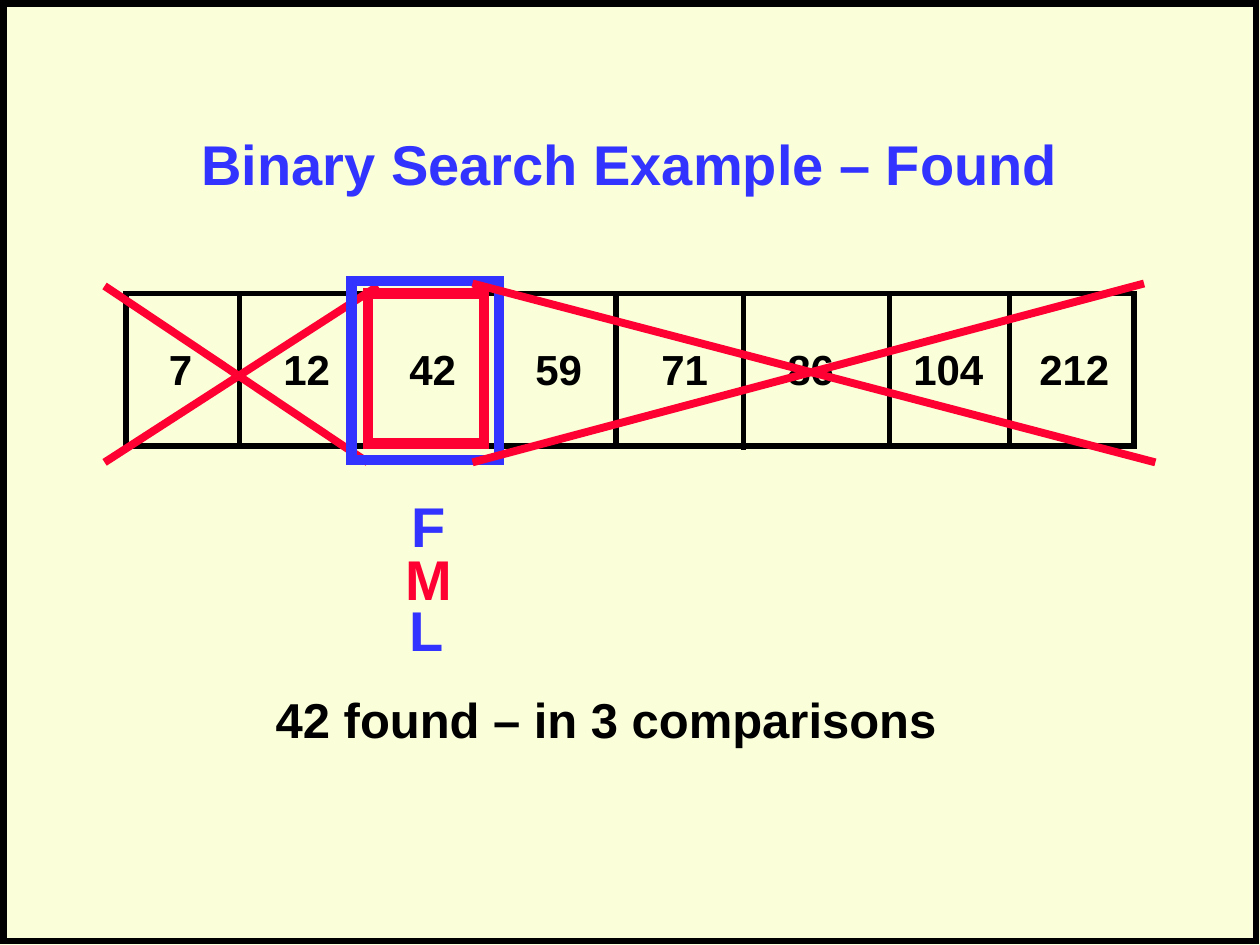
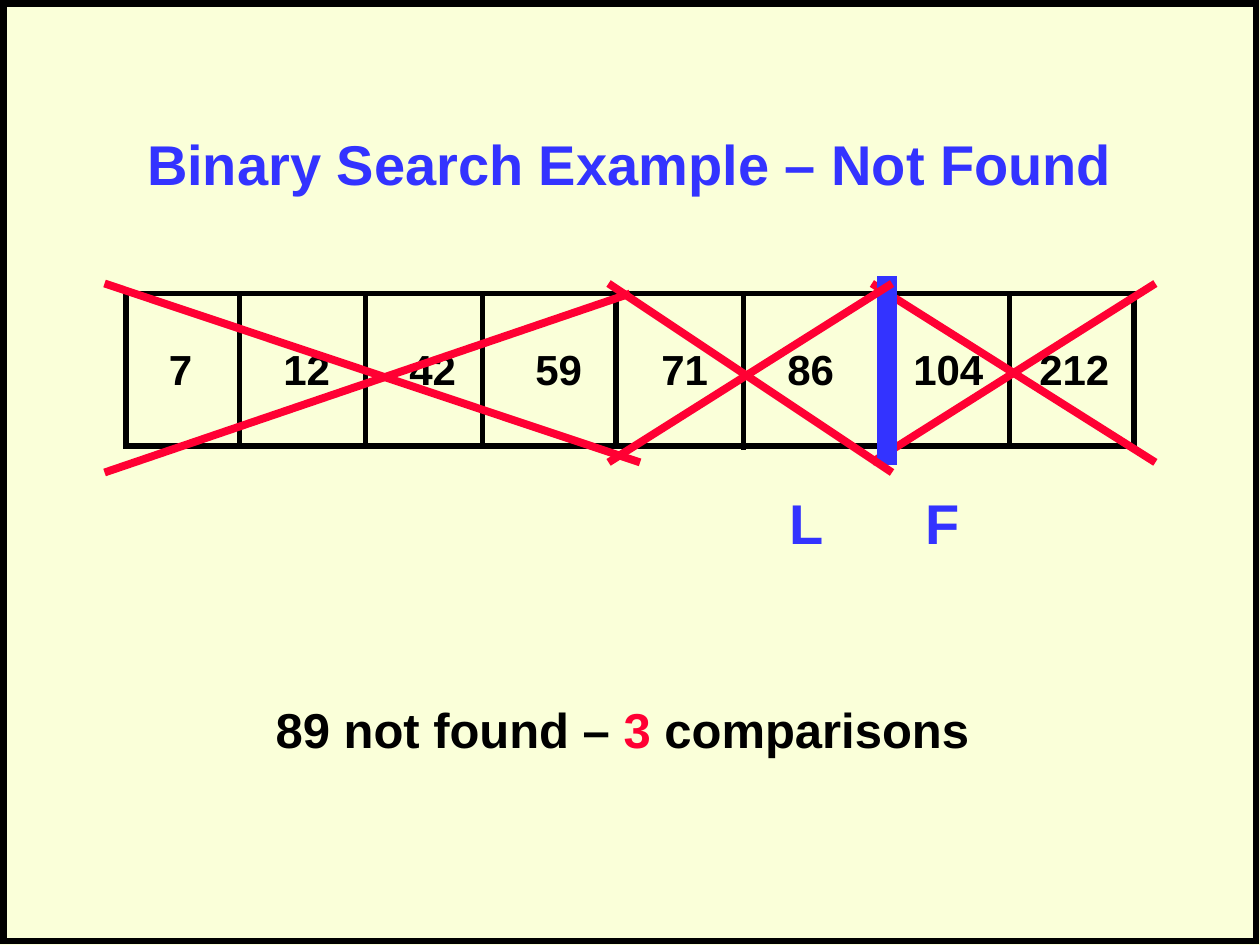
from pptx import Presentation
from pptx.dml.color import RGBColor
from pptx.enum.shapes import MSO_CONNECTOR, MSO_SHAPE
from pptx.enum.text import MSO_ANCHOR, MSO_AUTO_SIZE, PP_ALIGN
from pptx.oxml.ns import qn
from pptx.util import Pt
from lxml.etree import SubElement

PX = 9144  # EMU in one px, 100 px to the inch
COLORS = {"paper": "FAFFD9", "black": "000000", "blue": "3333FF", "red": "FF0033"}
VALUES = [7, 12, 42, 59, 71, 86, 104, 212]
# x, top and bottom of each line between two cells
DIVIDERS = [(190, 235, 353), (290, 231, 354), (383, 231, 354), (489, 235, 353),
            (590, 232, 357), (706, 231, 356), (801, 233, 356)]

# A "box" is left, top, width, height; a "line" is x1, y1, x2, y2.
PAGES = [
    {
        "title": "Binary Search Example – Found",
        "caption": ((209, 542, 544, 57), [("42 found – in 3 comparisons", "black")]),
        "labels": [("F", "blue", (317, 385, 47, 64)),
                   ("L", "blue", (315, 468, 47, 64)),
                   ("M", "red", (312, 427, 57, 64))],
        "marks": [("box", "red", (292, 233, 92, 119)),
                  ("line", "red", (300, 227, 83, 367)),
                  ("line", "red", (83, 227, 292, 367)),
                  ("box", "blue", (279, 223, 117, 142)),
                  ("line", "red", (908, 225, 375, 367)),
                  ("line", "red", (375, 225, 917, 367))],
    },
    {
        "title": "Binary Search Example – Not Found",
        "caption": ((209, 550, 570, 57), [("89 not found – ", "black"), ("3", "red"),
                                          (" comparisons", "black")]),
        "labels": [("F", "blue", (725, 383, 47, 64)),
                   ("L", "blue", (617, 383, 47, 64))],
        "marks": [("line", "red", (917, 225, 692, 367)),
                  ("line", "red", (692, 225, 917, 367)),
                  ("box", "blue", (700, 223, 8, 142)),
                  ("line", "red", (83, 225, 508, 367)),
                  ("line", "red", (500, 233, 83, 375)),
                  ("line", "red", (708, 225, 483, 367)),
                  ("line", "red", (483, 225, 708, 375))],
    },
]


def add_mark(page, kind, color, place, weight):
    """Draw an unfilled square-cornered box or a straight line, without shadow."""
    place = [value * PX for value in place]
    if kind == "box":
        mark = page.shapes.add_shape(MSO_SHAPE.RECTANGLE, *place)
        mark.fill.background()
        mark.shadow.inherit = False
    else:
        mark = page.shapes.add_connector(MSO_CONNECTOR.STRAIGHT, *place)
    mark.line.color.rgb = RGBColor.from_string(COLORS[color])
    mark.line.width = Pt(weight)
    if kind == "box":
        SubElement(mark.element.spPr.find(qn("a:ln")), qn("a:miter"), lim="800000")
    else:
        SubElement(mark.element.spPr, qn("a:effectLst"))
    return mark


def write(page, place, spans, size, box=None):
    """Write one paragraph of (text, color) spans into box, or into a new text box."""
    place = [value * PX for value in place]
    if box is None:
        box = page.shapes.add_textbox(*place)
        box.text_frame.word_wrap = False
        box.text_frame.auto_size = MSO_AUTO_SIZE.SHAPE_TO_FIT_TEXT
    else:
        for name, value in zip(("left", "top", "width", "height"), place):
            setattr(box, name, value)
    para = box.text_frame.paragraphs[0]
    for text, color in spans:
        span = para.add_run()
        span.text = text
        span.font.color.rgb = RGBColor.from_string(COLORS[color])
        for name, value in {"name": "Arial", "size": Pt(size), "bold": True}.items():
            setattr(span.font, name, value)
    return box


deck = Presentation()
deck.slide_width, deck.slide_height = 1000 * PX, 750 * PX

layout = deck.slide_layouts.get_by_name("Title Only")
layout.background.fill.solid()
layout.background.fill.fore_color.rgb = RGBColor.from_string(COLORS["paper"])

for number, content in enumerate(PAGES):
    page = deck.slides.add_slide(layout)
    if number == 0:
        # The page border belongs to the layout, so that all slides show it.
        border = add_mark(page, "box", "black", (3, 3, 994, 744), 3.75)
        layout.shapes.element.append(border.element)

    title = write(page, (75, 67, 850, 125), [(content["title"], "blue")], 32, page.shapes.title)
    title.text_frame.vertical_anchor = MSO_ANCHOR.MIDDLE
    title.text_frame.paragraphs[0].alignment = PP_ALIGN.CENTER

    add_mark(page, "box", "black", (100, 233, 800, 121), 3)
    for x, top, bottom in DIVIDERS:
        add_mark(page, "line", "black", (x, top, x, bottom), 3)
    row = " " + "\t".join(str(value) for value in VALUES)
    array = write(page, (115, 268, 800, 50), [(row, "black")], 24)
    array.text_frame.word_wrap = True  # keeps the box width, which holds all the tab stops
    properties = array.text_frame.paragraphs[0]._p.get_or_add_pPr()
    tabs = SubElement(properties, qn("a:tabLst"))
    for stop in range(1, len(VALUES)):
        SubElement(tabs, qn("a:tab"), pos=str(stop * 100 * PX), algn="l")

    place, spans = content["caption"]
    write(page, place, spans, 28)
    for text, color, place in content["labels"]:
        write(page, place, [(text, color)], 32)
    for kind, color, place in content["marks"]:
        add_mark(page, kind, color, place, 6 if kind == "box" else 4.5)

deck.save("out.pptx")
